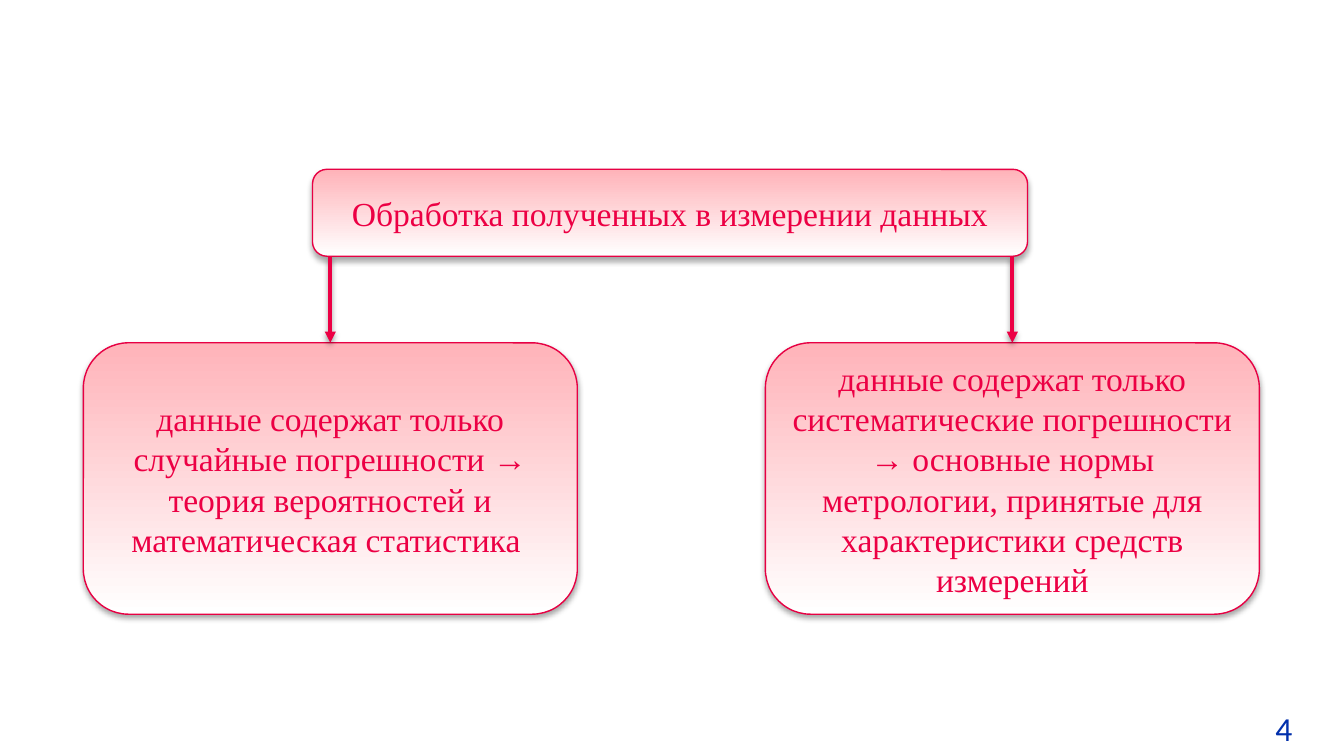
import lxml.etree
import pptx
import pptx.dml.color
import pptx.enum.shapes
import pptx.enum.text
import pptx.oxml.ns
import pptx.util

qn = pptx.oxml.ns.qn
TEXT_COLOUR = "EC0044"
BORDER_COLOUR = "E70043"


def set_colour(colour_format, hex_string):
    colour_format.rgb = pptx.dml.color.RGBColor.from_string(hex_string)


def write_text(shape, text, *, font, colour, size=18, align=None, anchor=None):
    frame = shape.text_frame
    frame.word_wrap = True
    frame.vertical_anchor = anchor
    paragraph = frame.paragraphs[0]
    paragraph.alignment = align
    run = paragraph.add_run()
    run.text = text
    run.font.name = font
    run.font.size = pptx.util.Pt(size)
    set_colour(run.font.color, colour)


# Widescreen slide, 16:9
presentation = pptx.Presentation()
presentation.slide_width = pptx.util.Inches(10)
presentation.slide_height = presentation.slide_width * 9 // 16
slide = presentation.slides.add_slide(presentation.slide_layouts[6])

# Grid of 100 columns and 100 rows: a header above two equal cards
column = presentation.slide_width // 100
row = presentation.slide_height / 100
header_top, header_height = 22.4, 11.5
card_top = header_top + header_height + 11.45
card_width, card_height = 36.75, 35.9

boxes = [
    (23.25, header_top, 53.2, header_height, "Обработка полученных в измерении данных"),
    (6.2, card_top, card_width, card_height,
     "данные содержат только случайные погрешности → "
     "теория вероятностей и математическая статистика "),
    (56.95, card_top, card_width, card_height,
     "данные содержат только систематические погрешности → основные нормы "
     "метрологии, принятые для характеристики средств измерений"),
]

# Header and cards, pink at the top fading to white
box_shapes = []
for left, top, width, height, text in boxes:
    box = slide.shapes.add_shape(
        pptx.enum.shapes.MSO_SHAPE.ROUNDED_RECTANGLE,
        round(left * column), round(top * row), round(width * column), round(height * row))
    box.fill.gradient()
    box.fill.gradient_angle = 90
    for stop, colour in zip(box.fill.gradient_stops, ["FFFFFF", "FFB3B9"]):
        set_colour(stop.color, colour)
    set_colour(box.line.color, BORDER_COLOUR)
    box.line.width = pptx.util.Pt(0.75)
    box.shadow.inherit = False
    write_text(box, text, font="Times New Roman", colour=TEXT_COLOUR,
               align=pptx.enum.text.PP_ALIGN.CENTER,
               anchor=pptx.enum.text.MSO_ANCHOR.MIDDLE)
    box_shapes.append(box)

# Arrows from the header down to the middle of each card
header, *cards = box_shapes
arrows = []
for card in cards:
    centre = card.left + card.width // 2
    arrow = slide.shapes.add_connector(
        pptx.enum.shapes.MSO_CONNECTOR.STRAIGHT,
        centre, header.top + header.height, centre, card.top)
    arrow.end_connect(card, 0)
    set_colour(arrow.line.color, TEXT_COLOUR)
    arrow.line.width = pptx.util.Pt(2)
    properties = arrow._element.spPr
    lxml.etree.SubElement(properties.find(qn("a:ln")), qn("a:tailEnd"), type="triangle")
    lxml.etree.SubElement(properties, qn("a:effectLst"))
    arrows.append(arrow)

# Soft black shadows that fall straight down
for shapes, distance, opacity in [(box_shapes, 1.8, 35), (arrows, 1.6, 38)]:
    for shape in shapes:
        shadow = lxml.etree.SubElement(
            shape._element.spPr.find(qn("a:effectLst")), qn("a:outerShdw"),
            blurRad=str(int(pptx.util.Pt(3.1))), dist=str(int(pptx.util.Pt(distance))),
            dir="5400000", rotWithShape="0")
        black = lxml.etree.SubElement(shadow, qn("a:srgbClr"), val="000000")
        lxml.etree.SubElement(black, qn("a:alpha"), val=str(opacity * 1000))

# Page number
page_number = slide.shapes.add_textbox(
    round(93.9 * column), round(92.8 * row), round(5.9 * column), round(7.1 * row))
write_text(page_number, "4", font="Calibri", colour="0230AC")

presentation.save("out.pptx")
